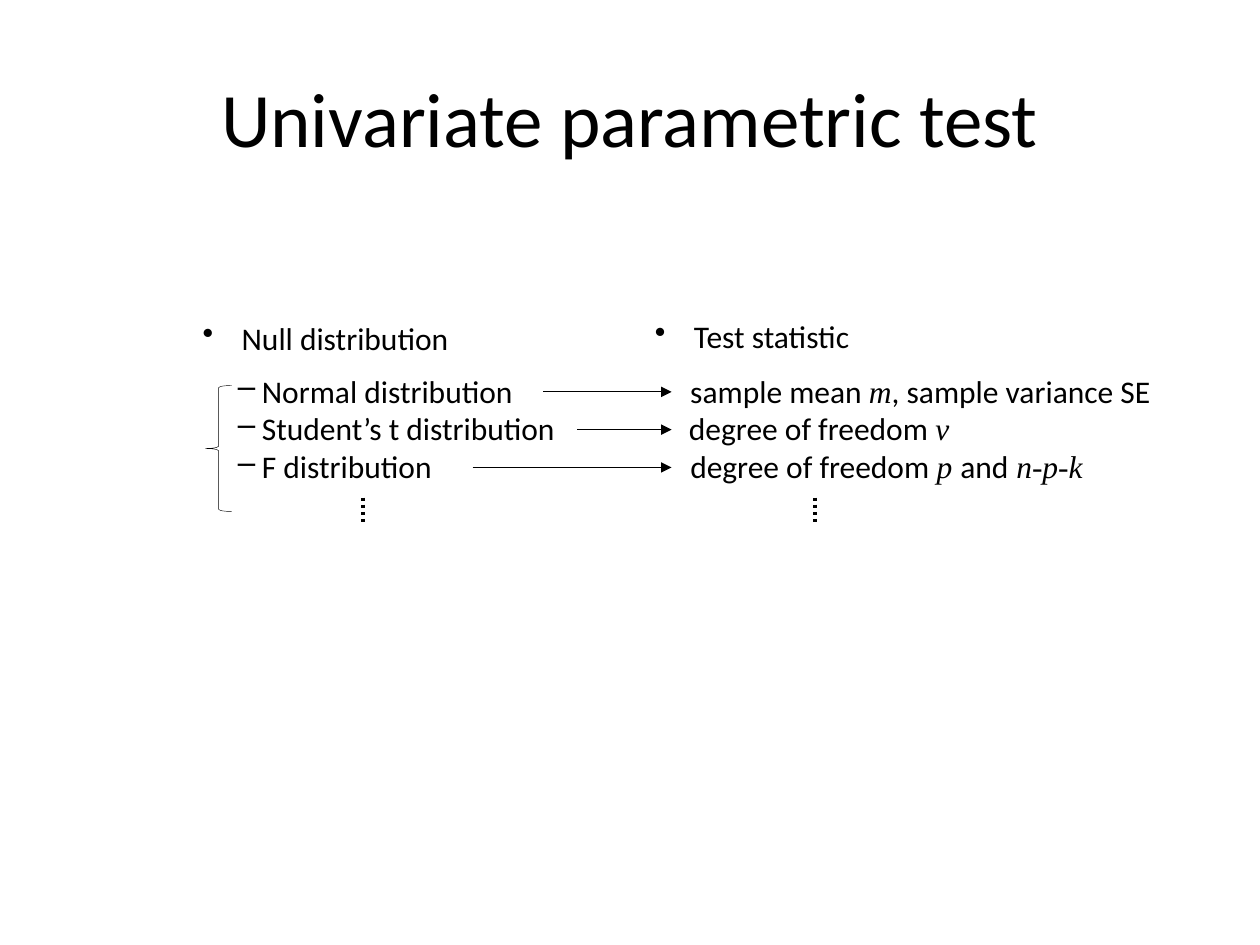
from lxml.etree import SubElement
from pptx import Presentation
from pptx.dml.color import RGBColor
from pptx.enum.dml import MSO_LINE
from pptx.enum.shapes import MSO_CONNECTOR, MSO_SHAPE
from pptx.enum.text import MSO_ANCHOR, PP_ALIGN
from pptx.oxml.ns import qn
from pptx.util import Inches, Pt


def color(code):
    return RGBColor.from_string(code)


class Board:
    ink = "000000"
    sans = "Calibri"
    math = "Times New Roman"
    size = 18

    def __init__(self, slide):
        self.slide = slide

    def text(self, box, rows, size=size, mark=None, hang=0, title=False):
        """Each row is a list of runs; a run is (words, is_math)."""
        frame = self.slide.shapes.add_textbox(*map(Inches, box)).text_frame
        frame.word_wrap = True
        frame.vertical_anchor = MSO_ANCHOR.MIDDLE if title else MSO_ANCHOR.TOP
        for i, row in enumerate(rows):
            para = frame.add_paragraph() if i else frame.paragraphs[0]
            para.alignment = PP_ALIGN.CENTER if title else PP_ALIGN.LEFT
            if mark:
                self.bullet(para, mark, hang)
            for words, is_math in row:
                run = para.add_run()
                run.text = words
                run.font.name = self.math if is_math else self.sans
                run.font.italic = is_math
                run.font.size = Pt(size)
                run.font.color.rgb = color(self.ink)

    def bullet(self, para, mark, hang):
        props = para._p.get_or_add_pPr()
        props.set("marL", str(Inches(hang)))
        props.set("indent", str(-Inches(hang)))
        SubElement(props, qn("a:buChar"), char=mark)

    def line(self, start, end, width):
        ends = map(Inches, start + end)
        link = self.slide.shapes.add_connector(MSO_CONNECTOR.STRAIGHT, *ends)
        link.line.color.rgb = color(self.ink)
        link.line.width = Pt(width)
        SubElement(link._element.spPr, qn("a:effectLst"))
        return link

    def arrow(self, left, right, y):
        link = self.line((left, y), (right, y), 0.75)
        SubElement(link.line._get_or_add_ln(), qn("a:tailEnd"), type="triangle")

    def dots(self, x, top, end):
        self.line((x, top), (x, end), 2).line.dash_style = MSO_LINE.ROUND_DOT

    def brace(self, box):
        shape = self.slide.shapes.add_shape(MSO_SHAPE.LEFT_BRACE, *map(Inches, box))
        shape.shadow.inherit = False
        shape.fill.background()
        shape.line.color.rgb = color(self.ink)
        shape.line.width = Pt(0.25)


def main():
    deck = Presentation()
    deck.slide_width, deck.slide_height = Inches(10), Inches(7.5)
    board = Board(deck.slides.add_slide(deck.slide_layouts[6]))

    board.text((0.5, 0.3, 9, 1.25), [[("Univariate parametric test", False)]],
               size=44, title=True)
    heads = [("Null distribution", (1.51, 2.48, 2.18, 0.4)),
             ("Test statistic", (5.1, 2.47, 1.76, 0.4))]
    for words, box in heads:
        board.text(box, [[(words, False)]], mark="•", hang=0.31)

    names = ["Normal distribution", "Student’s t distribution", "F distribution"]
    board.text((1.79, 2.9, 2.81, 1.31), [[(name, False)] for name in names],
               mark="–", hang=0.19)
    board.brace((1.63, 3.06, 0.21, 1))

    # Start of arrow, left and width of text, runs
    stats = [
        (4.31, 5.38, 3.9, [("sample mean ", False), ("m", True),
                           (", sample variance SE", False)]),
        (4.58, 5.37, 2.3, [("degree of freedom ", False), ("ν", True)]),
        (3.75, 5.38, 3.41, [("degree of freedom ", False), ("p ", True),
                            ("and", False), (" n-p-k", True)]),
    ]
    for i, (start, left, width, runs) in enumerate(stats):
        top = 2.9 + 0.3 * i
        board.text((left, top, width, 0.4), [runs])
        board.arrow(start, 5.33, top + 0.21)

    for x in (2.88, 6.47):
        board.dots(x, 3.95, 4.15)

    deck.save("out.pptx")


if __name__ == "__main__":
    main()
